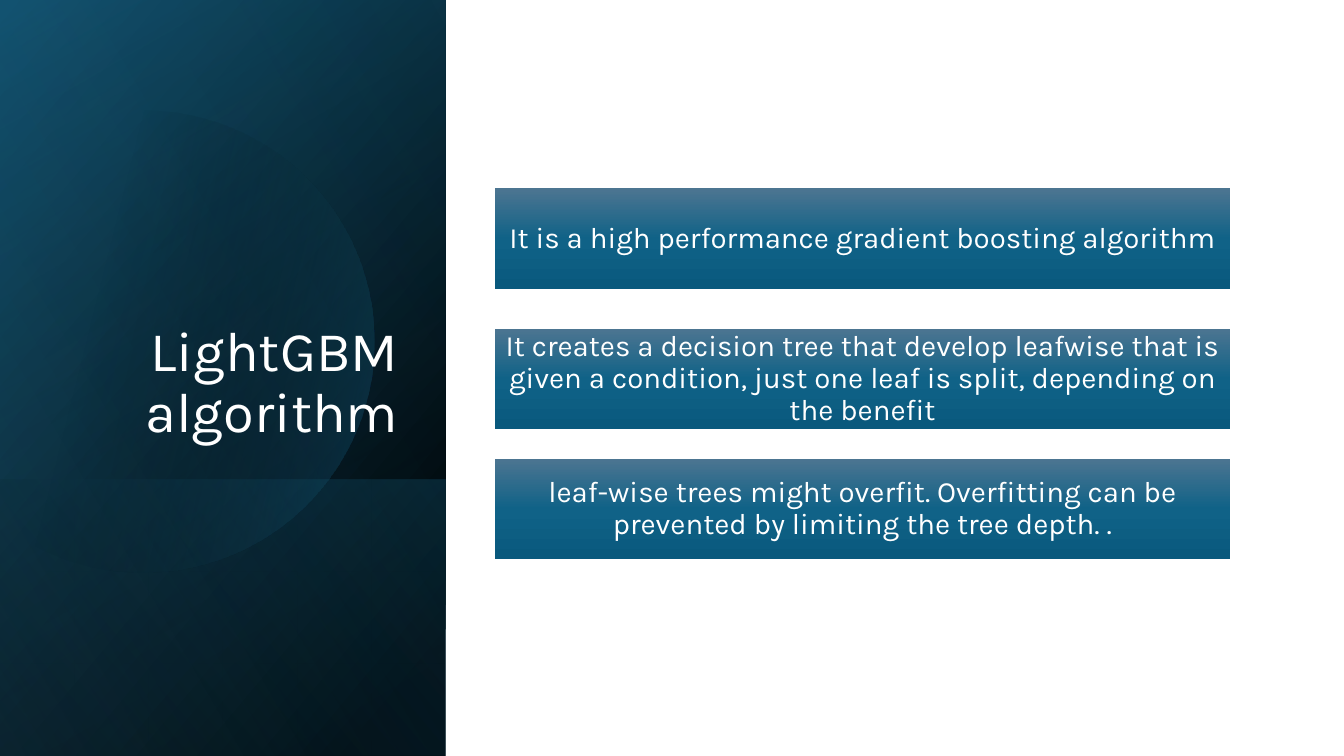
"""Build the LightGBM algorithm slide with a dark side panel and three cards."""
from dataclasses import dataclass
from math import cos, radians, sin
from typing import Any

from pptx import Presentation
from pptx.dml.color import RGBColor
from pptx.enum.shapes import MSO_SHAPE as Kind
from pptx.enum.text import MSO_ANCHOR as Anchor, MSO_AUTO_SIZE as Auto, PP_ALIGN as Align
from pptx.oxml import parse_xml
from pptx.oxml.ns import nsdecls, qn
from pptx.util import Inches, Pt


@dataclass
class Stop:
    pos: int
    color: str
    alpha: int = 100


@dataclass
class Panel:
    left: float
    top: float
    width: float
    angle: int
    stops: list[Stop]


@dataclass
class Card:
    top: float
    text: str


PANELS = [
    Panel(-1.54, 1.54, 7.5, 50, [Stop(8, "000000"), Stop(100, "104862")]),
    Panel(-1.54, 1.54, 7.5, 30, [Stop(0, "000000", 0), Stop(99, "156082", 46)]),
    Panel(0.84, 3.92, 2.74, 130, [Stop(2, "156082", 29), Stop(100, "000000", 30)]),
]
GLOW = [Stop(29, "000000", 0), Stop(100, "156082", 43)]
SHEEN = Panel(-1.54, 1.54, 7.5, 120, [Stop(0, "000000", 0), Stop(99, "46B1E1", 11)])
BLUES = [Stop(0, "4C7591"), Stop(50, "106287"), Stop(100, "09597D")]
CARDS = [
    Card(1.87, "It is a high performance gradient boosting algorithm"),
    Card(3.26, "It creates a decision tree that develop leafwise that is given "
               "a condition, just one leaf is split, depending on the benefit"),
    Card(4.55, "leaf-wise trees might overfit. Overfitting can be prevented "
               "by limiting the tree depth. ."),
]


def assign(item: Any, values: dict[str, Any]) -> None:
    for name, value in values.items():
        setattr(item, name, value)


def paint(shape: Any, stops: list[Stop], angle: int) -> None:
    shape.shadow.inherit = False
    shape.fill.background()
    shape.line.fill.background()
    marks = "".join(
        f'<a:gs pos="{s.pos * 1000}"><a:srgbClr val="{s.color}">'
        f'<a:alpha val="{s.alpha * 1000}"/></a:srgbClr></a:gs>'
        for s in stops
    )
    grad = parse_xml(
        f'<a:gradFill {nsdecls("a")} rotWithShape="1"><a:gsLst>{marks}</a:gsLst>'
        f'<a:lin ang="{angle * 60000}" scaled="0"/></a:gradFill>'
    )
    props = shape.element.spPr
    props.replace(props.find(qn("a:noFill")), grad)


def write(shape: Any, text: str, size: int, align: Any, frame: dict[str, Any]) -> None:
    box = shape.text_frame
    box.text = text
    assign(box, {"word_wrap": True, "auto_size": Auto.NONE, **frame})
    para = box.paragraphs[0]
    assign(para, {"alignment": align, "line_spacing": 0.9, "space_before": Pt(0)})
    assign(para.font, {"name": "Karla", "size": Pt(size), "bold": False})
    para.font.color.rgb = RGBColor.from_string("FFFFFF")


def add_panel(slide: Any, panel: Panel) -> None:
    shape = slide.shapes.add_shape(
        Kind.RECTANGLE, Inches(panel.left), Inches(panel.top),
        Inches(panel.width), Inches(4.42))
    shape.rotation = 90
    shape.element.spPr.xfrm.set("flipH", "1")
    paint(shape, panel.stops, panel.angle)


def add_glow(slide: Any) -> None:
    dots = [
        (Inches(1.42 + 2.29 * cos(radians(a))), Inches(3.39 + 2.29 * sin(radians(a))))
        for a in range(-128, 129, 2)
    ]
    path = slide.shapes.build_freeform(*dots[0])
    path.add_line_segments(dots[1:], close=True)
    paint(path.convert_to_shape(), GLOW, 14)


def add_card(slide: Any, card: Card) -> None:
    shape = slide.shapes.add_shape(
        Kind.RECTANGLE, Inches(4.91), Inches(card.top), Inches(7.29), Inches(1))
    paint(shape, BLUES, 90)
    sides = ("left", "right", "top", "bottom")
    frame = {f"margin_{side}": Inches(0.01) for side in sides}
    write(shape, card.text, 21, Align.CENTER,
          {"vertical_anchor": Anchor.MIDDLE, **frame})


def add_title(slide: Any) -> None:
    title = slide.shapes.title
    assign(title, {"left": Inches(0.64), "top": Inches(1.84),
                   "width": Inches(3.41), "height": Inches(2.62)})
    write(title, "LightGBM algorithm", 40, Align.RIGHT,
          {"vertical_anchor": Anchor.BOTTOM})
    title.element.getparent().append(title.element)


def main() -> None:
    deck = Presentation()
    assign(deck, {"slide_width": Inches(13.33), "slide_height": Inches(7.5)})
    slide = deck.slides.add_slide(deck.slide_layouts[5])
    for panel in PANELS:
        add_panel(slide, panel)
    add_glow(slide)
    add_panel(slide, SHEEN)
    add_title(slide)
    for card in CARDS:
        add_card(slide, card)
    deck.save("out.pptx")


if __name__ == "__main__":
    main()
